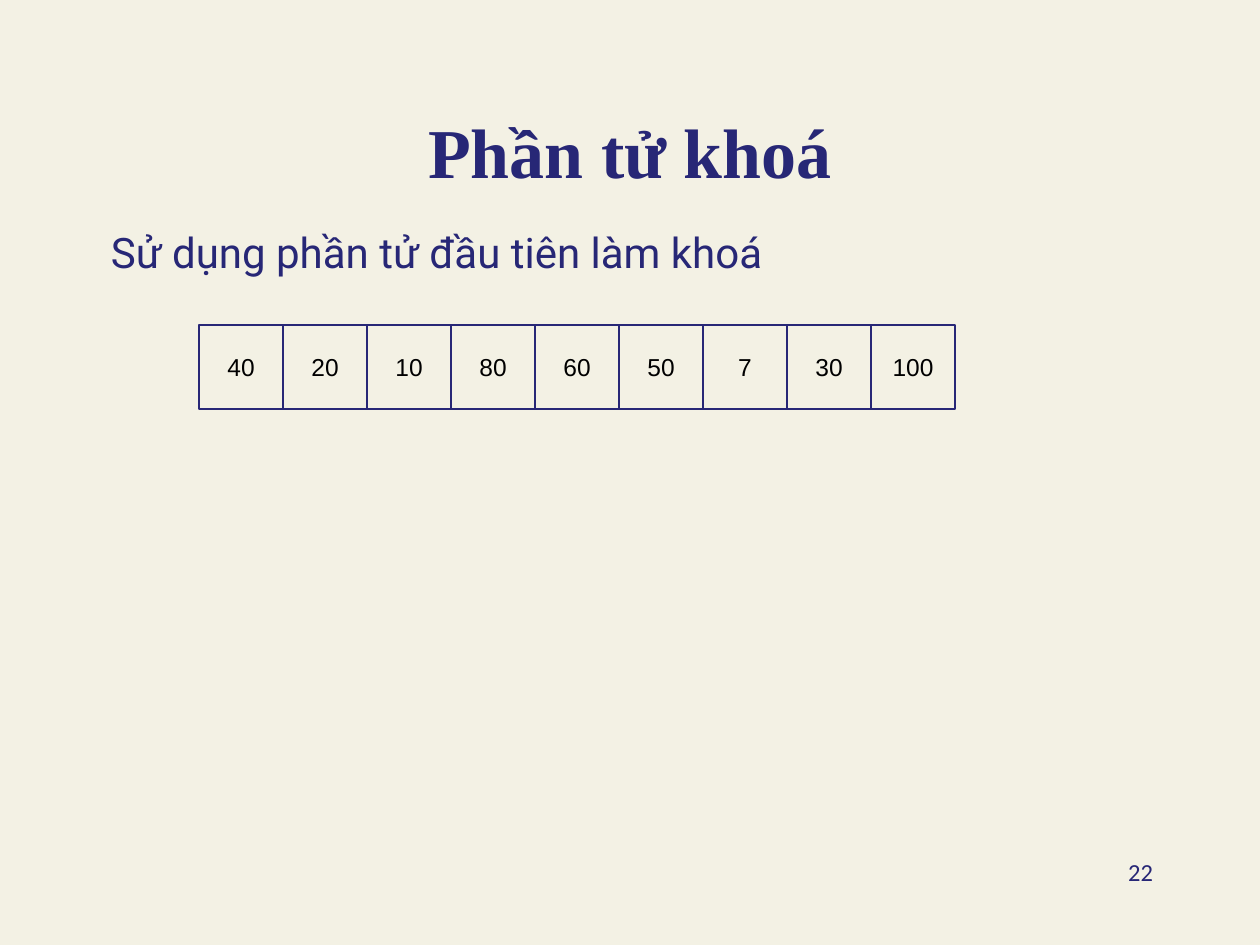
"""Build the slide that shows the first array element chosen as the pivot."""
from lxml import etree
from pptx import Presentation
from pptx.dml.color import RGBColor
from pptx.enum.shapes import MSO_SHAPE
from pptx.enum.text import MSO_ANCHOR, MSO_AUTO_SIZE, PP_ALIGN
from pptx.oxml.ns import qn
from pptx.util import Inches, Pt

RECT = MSO_SHAPE.RECTANGLE
TOP, MIDDLE, BOTTOM = MSO_ANCHOR.TOP, MSO_ANCHOR.MIDDLE, MSO_ANCHOR.BOTTOM
LEFT, CENTER, RIGHT = PP_ALIGN.LEFT, PP_ALIGN.CENTER, PP_ALIGN.RIGHT

TITLE = "Phần tử khoá"
BODY = "Sử dụng phần tử đầu tiên làm khoá"
PAGE = "22"
VALUES = [40, 20, 10, 80, 60, 50, 7, 30, 100]
NAVY, BLACK, CREAM = "272776", "000000", "F3F1E4"
ROW_LEFT, ROW_TOP, CELL = 1.58, 2.58, 2 / 3


def rgb(value):
    return RGBColor.from_string(value)


def place(sp, left, top, width, height):
    sp.left, sp.top = Inches(left), Inches(top)
    sp.width, sp.height = Inches(width), Inches(height)


def write(sp, text, font, size, color, align, anchor, bold=False, wrap=True):
    tf = sp.text_frame
    tf.auto_size = MSO_AUTO_SIZE.NONE
    tf.word_wrap = wrap
    tf.vertical_anchor = anchor
    p = tf.paragraphs[0]
    p.alignment = align
    p.space_before = Pt(0)
    r = p.add_run()
    r.text = text
    r.font.name, r.font.size, r.font.bold = font, Pt(size), bold
    r.font.color.rgb = rgb(color)
    return p


def add_cell(s, index, value):
    sp = s.shapes.add_shape(RECT, Inches(ROW_LEFT + index * CELL), Inches(ROW_TOP),
                            Inches(CELL), Inches(CELL))
    sp.shadow.inherit = False
    sp.fill.background()
    sp.line.color.rgb = rgb(NAVY)
    sp.line.width = Pt(0.75)
    write(sp, str(value), "Arial", 14, BLACK, CENTER, MIDDLE, wrap=False)


def main():
    prs = Presentation()
    prs.slide_width, prs.slide_height = Inches(10), Inches(7.5)
    s = prs.slides.add_slide(prs.slide_layouts[1])
    s.background.fill.solid()
    s.background.fill.fore_color.rgb = rgb(CREAM)

    title, body = s.shapes.title, s.placeholders[1]
    place(title, 0.75, 0.33, 8.5, 1.25)
    write(title, TITLE, "Times New Roman", 40, NAVY, CENTER, BOTTOM, bold=True)

    place(body, 0.75, 1.75, 8.5, 4.5)
    p = write(body, BODY, "Roboto", 24, NAVY, LEFT, TOP)
    pPr = p._p.get_or_add_pPr()
    pPr.set("marL", str(Inches(0.5)))
    pPr.set("indent", str(Inches(-0.47)))
    etree.SubElement(pPr, qn("a:buNone"))

    page = s.shapes.add_textbox(Inches(7.17), Inches(6.75), Inches(2.08), Inches(0.5))
    write(page, PAGE, "Calibri", 14, NAVY, RIGHT, TOP)

    for index, value in enumerate(VALUES):
        add_cell(s, index, value)
    prs.save("out.pptx")


if __name__ == "__main__":
    main()
